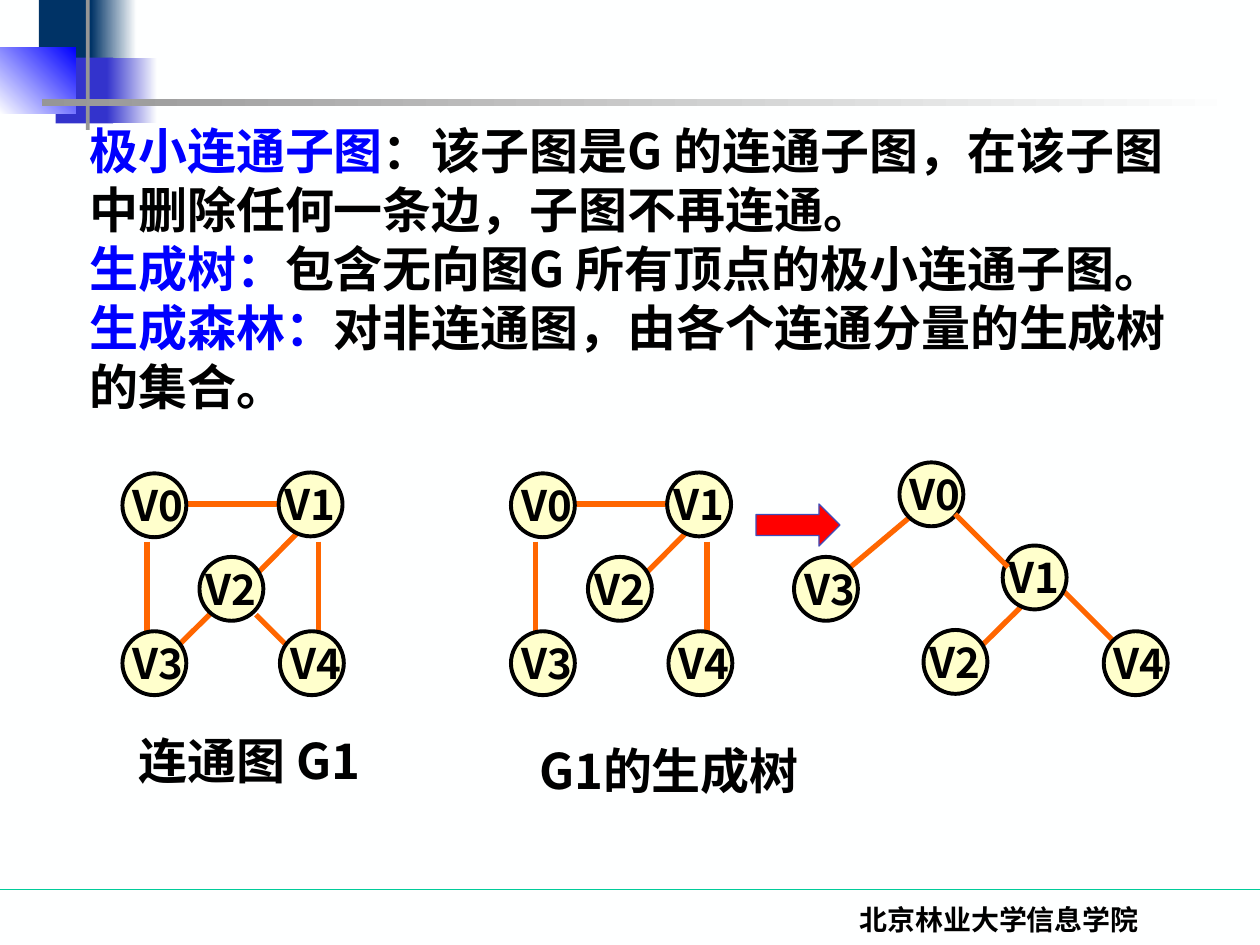
from lxml import etree
from pptx import Presentation
from pptx.dml.color import RGBColor
from pptx.enum.shapes import MSO_CONNECTOR, MSO_SHAPE
from pptx.enum.text import MSO_AUTO_SIZE, PP_ALIGN
from pptx.oxml.ns import qn
from pptx.util import Pt

RECT, OVAL, ARROW = MSO_SHAPE.RECTANGLE, MSO_SHAPE.OVAL, MSO_SHAPE.RIGHT_ARROW
STRAIGHT = MSO_CONNECTOR.STRAIGHT
LEFT, CENTER = PP_ALIGN.LEFT, PP_ALIGN.CENTER
GROW, FIXED = MSO_AUTO_SIZE.SHAPE_TO_FIT_TEXT, MSO_AUTO_SIZE.NONE

PAPER = RGBColor(0xFE, 0xFF, 0xFF)
BLACK = RGBColor(0, 0, 0)
BLUE = RGBColor(0, 0, 0xFF)
NAVY = RGBColor(0, 0x33, 0x66)
INDIGO = RGBColor(0x33, 0x33, 0xCC)
GREY = RGBColor(0x96, 0x96, 0x96)
GREEN = RGBColor(0, 0xCC, 0x99)
ORANGE = RGBColor(0xFF, 0x66, 0)
CREAM = RGBColor(0xFF, 0xFF, 0xCC)
RED = RGBColor(0xFF, 0, 0)
ARROW_EDGE = RGBColor(0x3E, 0x4D, 0xBA)

SANS, TERM, SERIF = "Noto Sans CJK SC", "DejaVu Sans", "Times New Roman"

# Corner decoration: left, top, width, height, colours, gradient angle
DECORATION = [
    (22.25, 0, 34.5, 37.5, [NAVY], 0),
    (52, 0, 26, 37.5, [NAVY, PAPER], 0),
    (31.75, 33, 33, 37.5, [INDIGO], 0),
    (61, 33, 29, 37.5, [INDIGO, PAPER], 0),
    (-0.5, 27.25, 44, 37.5, [PAPER, BLUE], 45),
    (49, -8.5, 2.25, 82.75, [GREY], 0),
    (23.75, 56.5, 684.75, 4, [GREY, PAPER], 0),
]

# Definitions: term, explanation, line break after it
DEFINITIONS = [
    ("极小连通子图", "：该子图是G 的连通子图，在该子图中删除任何一条边，子图不再连通。", True),
    ("生成树：", "包含无向图G 所有顶点的极小连通子图。", False),
    ("生成森林：", "对非连通图，由各个连通分量的生成树的集合。", False),
]

# Captions: text, left, top, width, height, size, font, autosize
CAPTIONS = [
    ("北京林业大学信息学院", 422, 512, 298, 36, 16, SERIF, FIXED),
    ("连通图 G1", 54, 414, 177, 41, 28, SANS, GROW),
    ("G1的生成树", 293.75, 419.75, 177, 41, 28, SANS, GROW),
]

# Graphs: left and top of each vertex, ends of each edge
NODE = 36.5
LABEL_W, LABEL_H = 51, 36
LABEL_SHIFT = {"V0": 3.75, "V1": 6, "V2": 6, "V3": 3.75, "V4": 3.75}
G1_NODES = {"V0": (70, 270.5), "V4": (160, 360.75), "V3": (70, 360.75),
            "V1": (159.25, 270), "V2": (114, 318.25)}
SPANNING_EDGES = [(84, 309.5, 84, 361.5), (105.25, 288, 165, 288),
                  (182, 309.5, 182, 361.5), (169.25, 305.25, 147.75, 327)]
CYCLE_EDGES = [(122.5, 348.5, 100.75, 370), (146.25, 351.25, 165, 370)]
TREE_NODES = {"V0": (514, 264.25), "V4": (630.75, 360.75), "V3": (453.75, 318.25),
              "V1": (573, 311.75), "V2": (527.75, 360)}
TREE_EDGES = [(522, 293.75, 486, 324), (606.25, 336.25, 635.75, 365.75),
              (583.25, 347, 561.5, 368.5)]
TREE_FRONT_EDGE = (545.75, 293.75, 576, 324)
SPANNING_DX = 222


def add_shape(kind, x, y, w, h, colors, angle=0, line=None, line_w=0):
    sp = s.shapes.add_shape(kind, Pt(x), Pt(y), Pt(w), Pt(h))
    sp.shadow.inherit = False
    if len(colors) == 1:
        sp.fill.solid()
        sp.fill.fore_color.rgb = colors[0]
    else:
        sp.fill.gradient()
        sp.fill.gradient_angle = angle
        for stop, color in zip(sp.fill.gradient_stops, colors):
            stop.color.rgb = color
    if line is None:
        sp.line.fill.background()
    else:
        sp.line.color.rgb = line
        sp.line.width = Pt(line_w)


def add_line(x1, y1, x2, y2, color=ORANGE, width=3):
    cn = s.shapes.add_connector(STRAIGHT, Pt(x1), Pt(y1), Pt(x2), Pt(y2))
    cn.line.color.rgb = color
    cn.line.width = Pt(width)
    etree.SubElement(cn._element.spPr, qn("a:effectLst"))


def style(r, size, font=SANS, color=BLACK):
    r.font.size, r.font.bold, r.font.name = Pt(size), True, font
    r.font.color.rgb = color
    ea = etree.SubElement(r._r.get_or_add_rPr(), qn("a:ea"))
    ea.set("typeface", SANS)


def add_box(x, y, w, h, autosize=GROW):
    tf = s.shapes.add_textbox(Pt(x), Pt(y), Pt(w), Pt(h)).text_frame
    tf.word_wrap = True
    tf.auto_size = autosize
    return tf


def add_text(text, x, y, w, h, size, font, autosize, align=CENTER):
    tf = add_box(x, y, w, h, autosize)
    tf.text = text
    p = tf.paragraphs[0]
    p.alignment = align
    style(p.runs[0], size, font)
    return tf


def add_graph(nodes, edges, dx=0):
    for x1, y1, x2, y2 in edges:
        add_line(x1 + dx, y1, x2 + dx, y2)
    for name, (x, y) in nodes.items():
        add_shape(OVAL, x + dx, y, NODE, NODE, [CREAM], line=BLACK, line_w=2.25)
        tf = add_text(name, x + dx - LABEL_SHIFT[name], y, LABEL_W, LABEL_H,
                      24, SANS, GROW, LEFT)
        tf.margin_left = Pt(9.5)


prs = Presentation()
prs.slide_width, prs.slide_height = Pt(720), Pt(540)
s = prs.slides.add_slide(prs.slide_layouts[6])
s.background.fill.solid()
s.background.fill.fore_color.rgb = PAPER

# Footer rule and corner decoration
add_line(0, 508.25, 720, 508.25, GREEN, 0.75)
for part in DECORATION:
    add_shape(RECT, *part)

# Definitions
p = add_box(44, 65.5, 652.25, 175.75).paragraphs[0]
for term, meaning, line_break in DEFINITIONS:
    for text, font, color in ((term, TERM, BLUE), (meaning, SANS, BLACK)):
        r = p.add_run()
        r.text = text
        style(r, 28, font, color)
    if line_break:
        p.add_line_break()

# Footer and captions
for caption in CAPTIONS:
    add_text(*caption)

# Spanning tree, connected graph, redrawn tree
add_graph(G1_NODES, SPANNING_EDGES, SPANNING_DX)
add_graph(G1_NODES, SPANNING_EDGES + CYCLE_EDGES)
add_graph(TREE_NODES, TREE_EDGES)
add_line(*TREE_FRONT_EDGE)
add_shape(ARROW, 432, 288, 48, 24, [RED], line=ARROW_EDGE, line_w=0.75)

prs.save("out.pptx")
